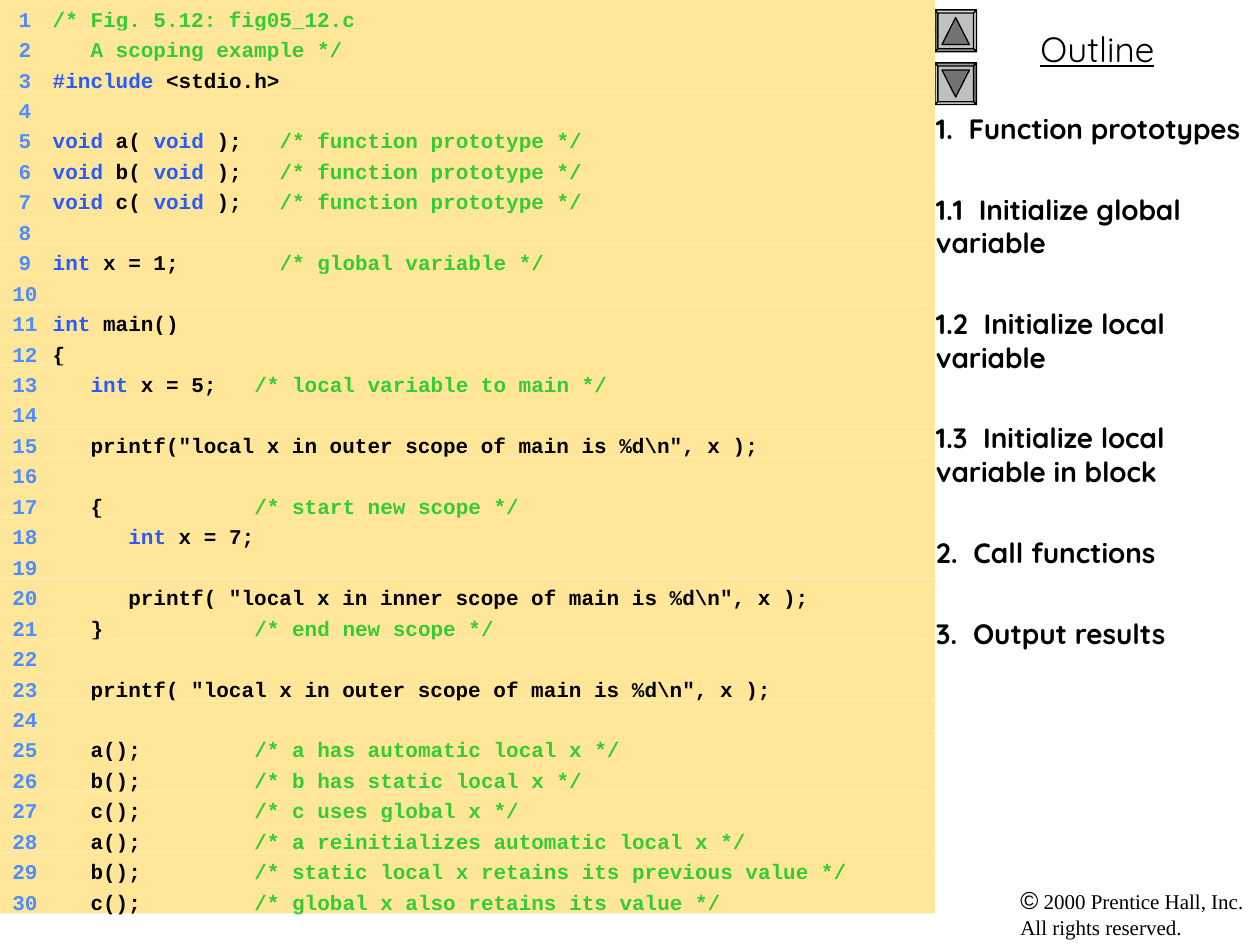
from itertools import groupby

from lxml.etree import SubElement
from pptx import Presentation
from pptx.dml.color import RGBColor
from pptx.enum.shapes import MSO_SHAPE
from pptx.enum.text import MSO_ANCHOR, PP_ALIGN
from pptx.oxml.ns import qn
from pptx.util import Inches, Pt

WIDTH, HEIGHT = 10, 7.5
SPLIT = 0.742 * WIDTH
BLACK, GREEN, BLUE, NUMBER, CREAM = "000000", "33CC33", "275AFF", "4D8DFF", "FFE699"
KEYWORDS = {"#include", "void", "int"}
DECLARATIONS = """/* Fig. 5.12: fig05_12.c
   A scoping example */
#include <stdio.h>

void a( void );   /* function prototype */
void b( void );   /* function prototype */
void c( void );   /* function prototype */

int x = 1;        /* global variable */
"""
SCOPES = r"""int main()
{
   int x = 5;   /* local variable to main */

   printf("local x in outer scope of main is %d\n", x );

   {            /* start new scope */
      int x = 7;

      printf( "local x in inner scope of main is %d\n", x );
   }            /* end new scope */

   printf( "local x in outer scope of main is %d\n", x );
"""
CALLS = """   a();         /* a has automatic local x */
   b();         /* b has static local x */
   c();         /* c uses global x */
   a();         /* a reinitializes automatic local x */
   b();         /* static local x retains its previous value */
   c();         /* global x also retains its value */"""
TOPICS = [
    "1.  Function prototypes",
    "1.1  Initialize global variable",
    "1.2  Initialize local variable",
    "1.3  Initialize local variable in block",
    "2.  Call functions",
    "3.  Output results",
]
FULL_SQUARE = [(0, 0), (1, 0), (1, 1), (0, 1)]
BUTTON_FACETS = [
    ("C0C0C0", FULL_SQUARE),
    ("CDCDCD", [(1, 0), (1, 1), (0.93, 0.93), (0.93, 0.07)]),
    ("9A9A9A", [(1, 1), (0, 1), (0.07, 0.93), (0.93, 0.93)]),
    ("737373", [(0, 1), (0, 0), (0.07, 0.07), (0.07, 0.93)]),
    ("D9D9D9", [(0, 0), (1, 0), (0.93, 0.07), (0.07, 0.07)]),
    ("737373", [(0.5, 0.18), (0.83, 0.83), (0.17, 0.83)]),
]


def color(value):
    """Turn a hex string into a colour."""
    return RGBColor.from_string(value)


def add_span(para, text, font, size, tint=BLACK, bold=False, underline=False):
    """Add one styled run to a paragraph."""
    span = para.add_run()
    span.text = text
    span.font.name, span.font.size = font, Pt(size)
    span.font.bold, span.font.underline = bold, underline
    span.font.color.rgb = color(tint)


def add_box(page, box, wrap=True):
    """Add a text box and return its text frame."""
    frame = page.shapes.add_textbox(*map(Inches, box)).text_frame
    frame.word_wrap = wrap
    return frame


def set_tabs(para, stops):
    """Give a paragraph its tab stops, in inches."""
    tabs = SubElement(para._p.get_or_add_pPr(), qn("a:tabLst"))
    for place, side in stops:
        SubElement(tabs, qn("a:tab"), pos=str(Inches(place)), algn=side)


def color_line(line, in_comment):
    """Split a line of C into coloured pieces and tell if a comment stays open."""
    code, mark, comment = ("", "", line) if in_comment else line.partition("/*")
    words = [part for word in code.split(" ") for part in (word, " ")][:-1]
    tinted = [(BLUE if word in KEYWORDS else BLACK, word) for word in words if word]
    pieces = [(tint, "".join(word for _, word in group))
              for tint, group in groupby(tinted, key=lambda pair: pair[0])]
    if mark or in_comment:
        pieces.append((GREEN, mark + comment))
    return pieces, bool(mark or in_comment) and "*/" not in comment


def add_code_row(page, box, number, pieces):
    """Add one numbered line of code on its band."""
    band = page.shapes.add_shape(MSO_SHAPE.RECTANGLE, *map(Inches, box))
    band.shadow.inherit = False
    band.fill.solid()
    band.fill.fore_color.rgb = color(CREAM)
    band.line.fill.background()
    frame = band.text_frame
    frame.word_wrap, frame.vertical_anchor = True, MSO_ANCHOR.TOP
    para = frame.paragraphs[0]
    para.alignment = PP_ALIGN.LEFT
    set_tabs(para, [(0, "l"), (0.15, "r"), (0.32, "l")])
    for tint, text in [(NUMBER, f"\t{number}\t")] + pieces:
        add_span(para, text, "Courier New", 12, tint, bold=True)


def add_listing(page, box):
    """Fill the box with the program, one row a line."""
    left, top, width, height = box
    lines = [line for part in (DECLARATIONS, SCOPES, CALLS) for line in part.split("\n")]
    row = height / len(lines)
    in_comment = False
    for index, line in enumerate(lines):
        pieces, in_comment = color_line(line, in_comment)
        add_code_row(page, (left, top + index * row, width, row), index + 1, pieces)


def add_button(page, box, upside_down=False):
    """Add a bevelled arrow button, pointing up unless turned over."""
    left, top, width, height = box
    group = page.shapes.add_group_shape()
    for tint, corners in BUTTON_FACETS:
        if upside_down:
            corners = [(1 - across, 1 - down) for across, down in corners]
        points = [(Inches(left + across * width), Inches(top + down * height))
                  for across, down in corners]
        builder = group.shapes.build_freeform(*points[0])
        builder.add_line_segments(points[1:], close=True)
        facet = builder.convert_to_shape()
        facet.shadow.inherit = False
        facet.fill.solid()
        facet.fill.fore_color.rgb = color(tint)
        facet.line.color.rgb = color(BLACK)
        facet.line.width = Pt(0.75)


def add_title(page, box):
    """Add the underlined heading of the sidebar."""
    para = add_box(page, box).paragraphs[0]
    para.alignment = PP_ALIGN.CENTER
    add_span(para, "Outline", "Quicksand", 20, underline=True)


def add_topics(page, box):
    """List the topics of the sidebar."""
    frame = add_box(page, box)
    for index, topic in enumerate(TOPICS):
        para = frame.add_paragraph() if index else frame.paragraphs[0]
        if index:
            para.space_before = Pt(27)
        add_span(para, topic, "Quicksand", 16, bold=True)


def add_copyright(page, box):
    """Add the copyright notice in the corner."""
    para = add_box(page, box, wrap=False).paragraphs[0]
    add_span(para, "©", "Arial", 14)
    add_span(para, " 2000 Prentice Hall, Inc.", "Times New Roman", 12)
    para.add_line_break()
    add_span(para, "All rights reserved.", "Times New Roman", 12)


def main():
    """Build the slide and save it."""
    deck = Presentation()
    deck.slide_width, deck.slide_height = Inches(WIDTH), Inches(HEIGHT)
    page = deck.slides.add_slide(deck.slide_layouts[6])
    add_copyright(page, (0.8 * WIDTH, 0.93 * HEIGHT, 0.2 * WIDTH, 0.07 * HEIGHT))
    add_title(page, (SPLIT, 0.17, WIDTH - SPLIT, 0.44))
    add_button(page, (SPLIT, 0.08, 0.33, 0.33))
    add_button(page, (SPLIT, 0.5, 0.33, 0.33), upside_down=True)
    add_topics(page, (7.33, HEIGHT / 9, WIDTH - 7.33, HEIGHT * 8 / 9))
    add_listing(page, (0, 0, SPLIT, 7.25))
    deck.save("out.pptx")


if __name__ == "__main__":
    main()
